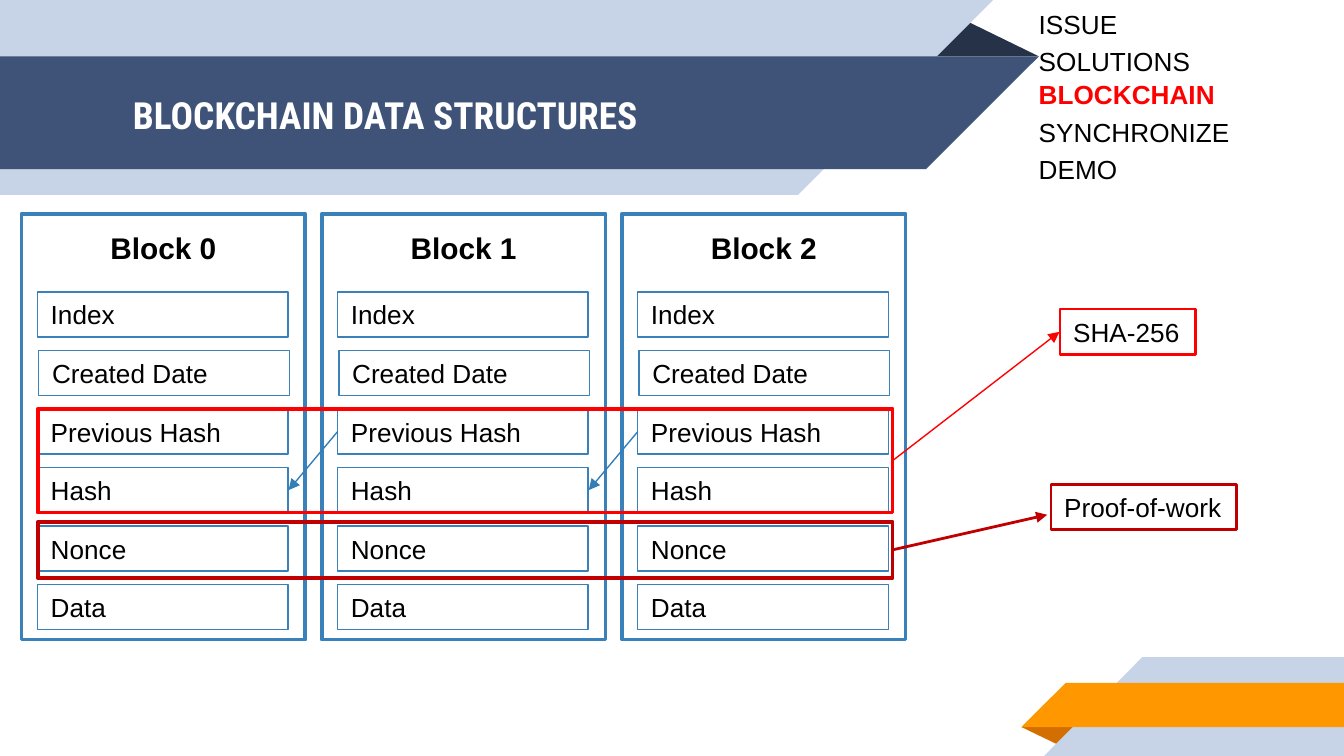
from lxml import etree
from pptx import Presentation
from pptx.dml.color import RGBColor
from pptx.enum import shapes, text
from pptx.oxml.ns import qn
from pptx.util import Pt

HUES = {
    "pale": "C7D3E6", "navy": "3F5378", "dark": "263248",
    "gold": "FF9800", "rust": "D26F00", "blue": "3A81BA", "link": "347EB8",
    "red": "FF0000", "wine": "C00000", "black": "000000", "white": "FFFFFF",
}
BANDS = [
    ("dark", [(495.4, 30.2), (515.2, 10), (556.6, 30.2)]),
    ("pale", [(0, 0), (532, 0), (427.6, 104.4), (0, 104.4)]),
    ("navy", [(0, 30.2), (556.6, 30.2), (496.1, 90.7), (0, 90.7)]),
    ("rust", [(547.2, 389.5), (578.2, 389.5), (568.1, 399.6)]),
    ("pale", [(612, 352.1), (720, 352.1), (720, 405), (559.4, 405)]),
    ("gold", [(571, 365.8), (720, 365.8), (720, 389.5), (547.2, 389.5)]),
]
FIELDS = ["Index", "Created Date", "Previous Hash", "Hash", "Nonce", "Data"]
PITCH = 160.8


def hue(name):
    return RGBColor.from_string(HUES[name])


def style(font, size, color="black", bold=False, face="Arial"):
    font.name, font.size, font.bold = face, Pt(size), bold
    font.color.rgb = hue(color)


def inset(frame, side=7.2, top=3.6):
    frame.margin_left = frame.margin_right = Pt(side)
    frame.margin_top = frame.margin_bottom = Pt(top)
    frame.word_wrap = True
    frame.auto_size = text.MSO_AUTO_SIZE.NONE


def band(slide, color, points):
    spots = [(Pt(x), Pt(y)) for x, y in points]
    pen = slide.shapes.build_freeform(*spots[0])
    pen.add_line_segments(spots[1:], close=True)
    shape = pen.convert_to_shape()
    shape.shadow.inherit = False
    shape.fill.solid()
    shape.fill.fore_color.rgb = hue(color)
    shape.line.fill.background()


def title(slide, words):
    shape = slide.shapes.title
    slide.shapes.element.append(shape.element)
    shape.left, shape.top, shape.width, shape.height = map(Pt, (64, 31, 414, 60.5))
    frame = shape.text_frame
    inset(frame, top=7.2)
    frame.vertical_anchor = text.MSO_ANCHOR.MIDDLE
    frame.text = words
    line = frame.paragraphs[0]
    line.alignment = text.PP_ALIGN.LEFT
    style(line.font, 20, "white", True, "Roboto Condensed")


def box(slide, x, y, w, h, color, weight, words=""):
    shape = slide.shapes.add_shape(
        shapes.MSO_SHAPE.RECTANGLE, Pt(x), Pt(y), Pt(w), Pt(h))
    shape.shadow.inherit = False
    shape.fill.background()
    shape.line.color.rgb = hue(color)
    shape.line.width = Pt(weight)
    if words:
        frame = shape.text_frame
        inset(frame)
        frame.vertical_anchor = text.MSO_ANCHOR.MIDDLE
        frame.text = words
        line = frame.paragraphs[0]
        line.alignment = text.PP_ALIGN.LEFT
        style(line.font, 14)


def label(slide, x, y, w, h, words):
    frame = slide.shapes.add_textbox(Pt(x), Pt(y), Pt(w), Pt(h)).text_frame
    inset(frame)
    frame.text = words
    line = frame.paragraphs[0]
    line.alignment = text.PP_ALIGN.CENTER
    style(line.font, 16, bold=True)


def arrow(slide, start, end, color, weight):
    line = slide.shapes.add_connector(
        shapes.MSO_CONNECTOR.STRAIGHT, *map(Pt, start + end))
    line.line.color.rgb = hue(color)
    line.line.width = Pt(weight)
    etree.SubElement(line.line._get_or_add_ln(), qn("a:tailEnd"), type="triangle")
    etree.SubElement(line.element.spPr, qn("a:effectLst"))


def block(slide, number):
    x = 11.6 + number * PITCH
    box(slide, x, 114.5, 152, 228.2, "blue", 2)
    label(slide, x + 40, 119.5, 72, 26.6, f"Block {number}")
    for row, words in enumerate(FIELDS):
        nudge = 0.7 if row == 1 else 0
        box(slide, x + 8.5 + nudge, 156.4 + row * 31.36, 134.2, 24.2,
            "blue", 0.75, words)


def menu(slide):
    shape = slide.shapes.add_textbox(Pt(549.4), Pt(0), Pt(170.6), Pt(97.9))
    frame = shape.text_frame
    inset(frame)
    groups = [["ISSUE"], ["SOLUTIONS", "BLOCKCHAIN"], ["SYNCHRONIZE"], ["DEMO"]]
    for i, group in enumerate(groups):
        line = frame.add_paragraph() if i else frame.paragraphs[0]
        line.line_spacing = 1.05
        line.space_before = Pt(2.5 if i else 0)
        style(line.font, 14)
        for j, words in enumerate(group):
            if j:
                line.add_line_break()
            run = line.add_run()
            run.text = words
            if words == "BLOCKCHAIN":
                style(run.font, 14, "red", True)


def main():
    deck = Presentation()
    deck.slide_width, deck.slide_height = Pt(720), Pt(405)
    slide = deck.slides.add_slide(deck.slide_layouts[5])
    for color, points in BANDS:
        band(slide, color, points)
    title(slide, "BLOCKCHAIN DATA STRUCTURES")
    for number in range(3):
        block(slide, number)
    for step in range(2):
        x = 154.6 + step * PITCH
        arrow(slide, (x + 26.3, 231.2), (x, 262.6), "link", 0.75)
    box(slide, 20.2, 279.5, 458, 30.2, "wine", 2)
    arrow(slide, (478.2, 294.6), (561, 275.8), "wine", 1.5)
    box(slide, 563, 259.7, 99.3, 24.2, "wine", 1.5, "Proof-of-work")
    menu(slide)
    box(slide, 20.2, 219, 458, 55.6, "red", 2)
    arrow(slide, (478.2, 246.8), (567.6, 177.8), "red", 0.75)
    box(slide, 567.8, 165.6, 72.7, 24.2, "red", 1.5, "SHA-256")
    deck.save("out.pptx")


main()
